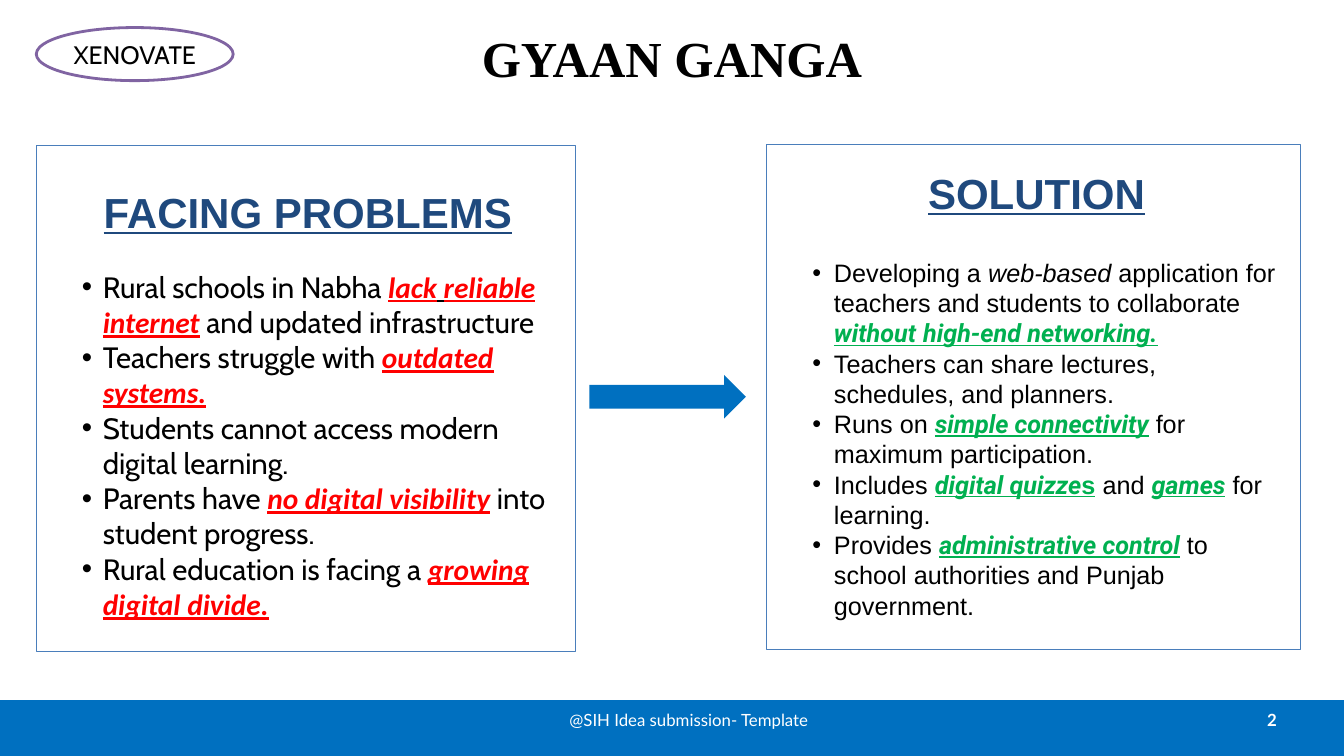
import pptx
import pptx.util
import pptx.dml.color
import pptx.enum.shapes
import pptx.enum.text
import pptx.oxml
import pptx.oxml.ns

Inches = pptx.util.Inches
Pt = pptx.util.Pt
RGBColor = pptx.dml.color.RGBColor
SHAPE = pptx.enum.shapes.MSO_SHAPE
ALIGN = pptx.enum.text.PP_ALIGN
ANCHOR = pptx.enum.text.MSO_ANCHOR

BLACK = RGBColor(0x00, 0x00, 0x00)
WHITE = RGBColor(0xFF, 0xFF, 0xFF)
BLUE = RGBColor(0x00, 0x70, 0xC0)
NAVY = RGBColor(0x1F, 0x49, 0x7D)
FRAME_BLUE = RGBColor(0x4A, 0x7E, 0xBB)
PURPLE = RGBColor(0x80, 0x64, 0xA2)
RED = RGBColor(0xFF, 0x00, 0x00)
GREEN = RGBColor(0x00, 0xB0, 0x50)

TITLE = "GYAAN GANGA"
TEAM = "XENOVATE"
FOOTER = "@SIH Idea submission- Template"
PAGE = "2"

KEY = {"bold": True, "italic": True, "underline": True}
PROBLEM = {"name": "Calibri", "color": RED, **KEY}
PROBLEM_GAP = {**PROBLEM, "color": BLACK}
BENEFIT = {"name": "Roboto", "color": GREEN, **KEY}
BENEFIT_UPRIGHT = {**BENEFIT, "name": "Arial", "italic": False}
ITALIC = {"italic": True}
PLAIN = {}

PANELS = [
    {
        "heading": "FACING PROBLEMS",
        "frame": (0.54, 2.16, 8.02, 7.53),
        "text": (0.91, 2.78, 7.34, 6.46),
        "font": "Cabin", "size": 31.5, "spacing": 37.8,
        "gap": 33.8, "indent": 0.62,
        "bullets": [
            [("Rural schools in Nabha ", PLAIN), ("lack", PROBLEM), (" ", PROBLEM_GAP),
             ("reliable internet", PROBLEM), (" and updated infrastructure", PLAIN)],
            [("Teachers struggle with ", PLAIN), ("outdated systems.", PROBLEM)],
            [("Students cannot access modern digital learning.", PLAIN)],
            [("Parents have ", PLAIN), ("no digital visibility", PROBLEM),
             (" into student progress.", PLAIN)],
            [("Rural education is facing a ", PLAIN), ("growing digital divide.", PROBLEM)],
        ],
    },
    {
        "heading": "SOLUTION",
        "frame": (11.41, 2.15, 7.95, 7.51),
        "text": (11.77, 2.49, 7.31, 6.74),
        "font": "Arial", "size": 27, "spacing": 32.4,
        "gap": 42.3, "indent": 0.64,
        "bullets": [
            [("Developing a ", PLAIN), ("web-based ", ITALIC),
             ("application for teachers and students to collaborate ", PLAIN),
             ("without", BENEFIT), (" ", BENEFIT_UPRIGHT), ("high-end networking.", BENEFIT)],
            [("Teachers can share lectures, schedules, and planners.", PLAIN)],
            [("Runs on ", PLAIN), ("simple connectivity", BENEFIT),
             (" for maximum participation.", PLAIN)],
            [("Includes ", PLAIN), ("digital quizze", BENEFIT), ("s", BENEFIT_UPRIGHT),
             (" and ", PLAIN), ("games", BENEFIT), (" for learning.", PLAIN)],
            [("Provides ", PLAIN), ("administrative control", BENEFIT),
             (" to school authorities and Punjab government.", PLAIN)],
        ],
    },
]


def inches(box):
    return [Inches(value) for value in box]


def set_font(font, name=None, size=None, color=None, **flags):
    if name:
        font.name = name
    if size:
        font.size = Pt(size)
    if color is not None:
        font.color.rgb = color
    for flag, value in flags.items():
        setattr(font, flag, value)


def set_frame(text_frame, inset=0, anchor=ANCHOR.MIDDLE):
    text_frame.word_wrap = True
    text_frame.auto_size = pptx.enum.text.MSO_AUTO_SIZE.NONE
    text_frame.vertical_anchor = anchor
    for side in ("left", "top", "right", "bottom"):
        setattr(text_frame, "margin_" + side, Inches(inset))


def write_line(paragraph, text, alignment, spacing, **style):
    paragraph.text = text
    paragraph.alignment = alignment
    paragraph.line_spacing = Pt(spacing)
    set_font(paragraph.font, **style)


def add_figure(slide, kind, box, fill=None, line=None, width=1):
    shape = slide.shapes.add_shape(kind, *inches(box))
    shape.shadow.inherit = False
    if fill is None:
        shape.fill.background()
    else:
        shape.fill.solid()
        shape.fill.fore_color.rgb = fill
    if line is None:
        shape.line.fill.background()
    else:
        shape.line.color.rgb = line
        shape.line.width = Pt(width)
    return shape


def add_label(slide, box, text, alignment, **style):
    text_frame = slide.shapes.add_textbox(*inches(box)).text_frame
    set_frame(text_frame)
    write_line(text_frame.paragraphs[0], text, alignment, 21.6,
               name="Lato", size=18, color=WHITE, **style)


def add_bullet(paragraph, indent):
    paragraph.level = 1
    properties = paragraph._p.get_or_add_pPr()
    properties.set("marL", str(Inches(indent)))
    properties.set("indent", str(-Inches(indent / 2)))
    namespace = pptx.oxml.ns.nsdecls("a")
    properties.append(pptx.oxml.parse_xml(f'<a:buFont {namespace} typeface="Arial"/>'))
    properties.append(pptx.oxml.parse_xml(f'<a:buChar {namespace} char="•"/>'))


def add_panel(slide, panel):
    add_figure(slide, SHAPE.RECTANGLE, panel["frame"], line=FRAME_BLUE)
    text_frame = slide.shapes.add_textbox(*inches(panel["text"])).text_frame
    set_frame(text_frame, anchor=ANCHOR.TOP)
    heading = text_frame.paragraphs[0]
    write_line(heading, panel["heading"], ALIGN.CENTER, 54, name="Arial", size=45,
               color=NAVY, bold=True, underline=True)
    heading.space_after = Pt(panel["gap"])
    for runs in panel["bullets"]:
        paragraph = text_frame.add_paragraph()
        add_bullet(paragraph, panel["indent"])
        paragraph.line_spacing = Pt(panel["spacing"])
        set_font(paragraph.font, size=panel["size"])
        for text, style in runs:
            run = paragraph.add_run()
            run.text = text
            set_font(run.font, **{"name": panel["font"], "color": BLACK, **style})


def main():
    presentation = pptx.Presentation()
    presentation.slide_width = Inches(20)
    presentation.slide_height = Inches(11.25)
    slide = presentation.slides.add_slide(presentation.slide_layouts[5])

    title = slide.shapes.title
    title.left, title.top, title.width, title.height = inches((0, -0.12, 20, 1.96))
    set_frame(title.text_frame)
    write_line(title.text_frame.paragraphs[0], TITLE, ALIGN.CENTER, 64.8,
               name="Times New Roman", size=54, color=BLACK, bold=True)

    add_figure(slide, SHAPE.RECTANGLE, (0, 10.42, 20, 0.83), fill=BLUE)
    add_label(slide, (14.33, 10.4, 4.67, 0.63), PAGE, ALIGN.RIGHT, bold=True)
    add_label(slide, (7.62, 10.4, 5.26, 0.63), FOOTER, ALIGN.CENTER)

    badge = add_figure(slide, SHAPE.OVAL, (0.54, 0.41, 2.93, 0.79), WHITE, PURPLE, 3)
    set_frame(badge.text_frame)
    write_line(badge.text_frame.paragraphs[0], TEAM, ALIGN.CENTER, 32.4,
               name="Cabin", size=27, color=BLACK)

    for panel in PANELS:
        add_panel(slide, panel)

    arrow = add_figure(slide, SHAPE.RIGHT_ARROW, (8.77, 5.58, 2.33, 0.65), fill=BLUE)
    arrow.adjustments[0] = 0.54
    arrow.adjustments[1] = 0.5

    presentation.save("out.pptx")


if __name__ == "__main__":
    main()
